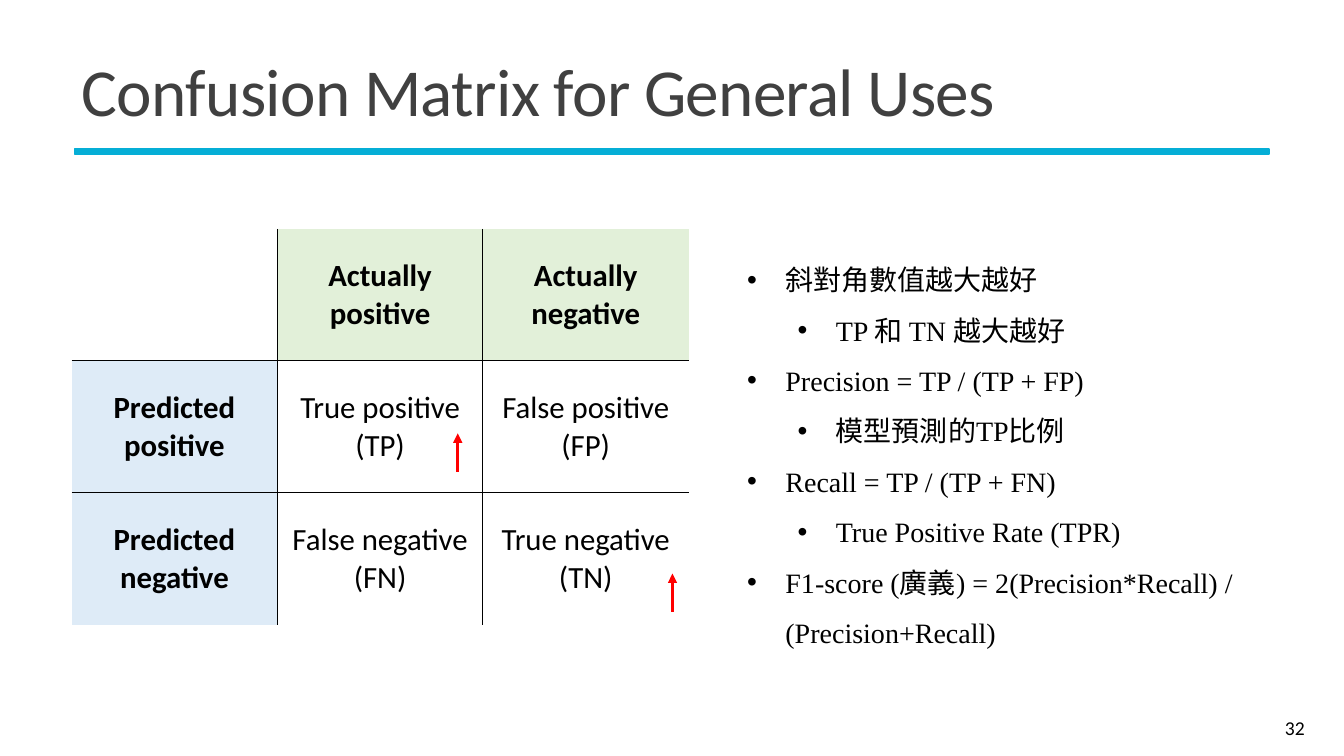
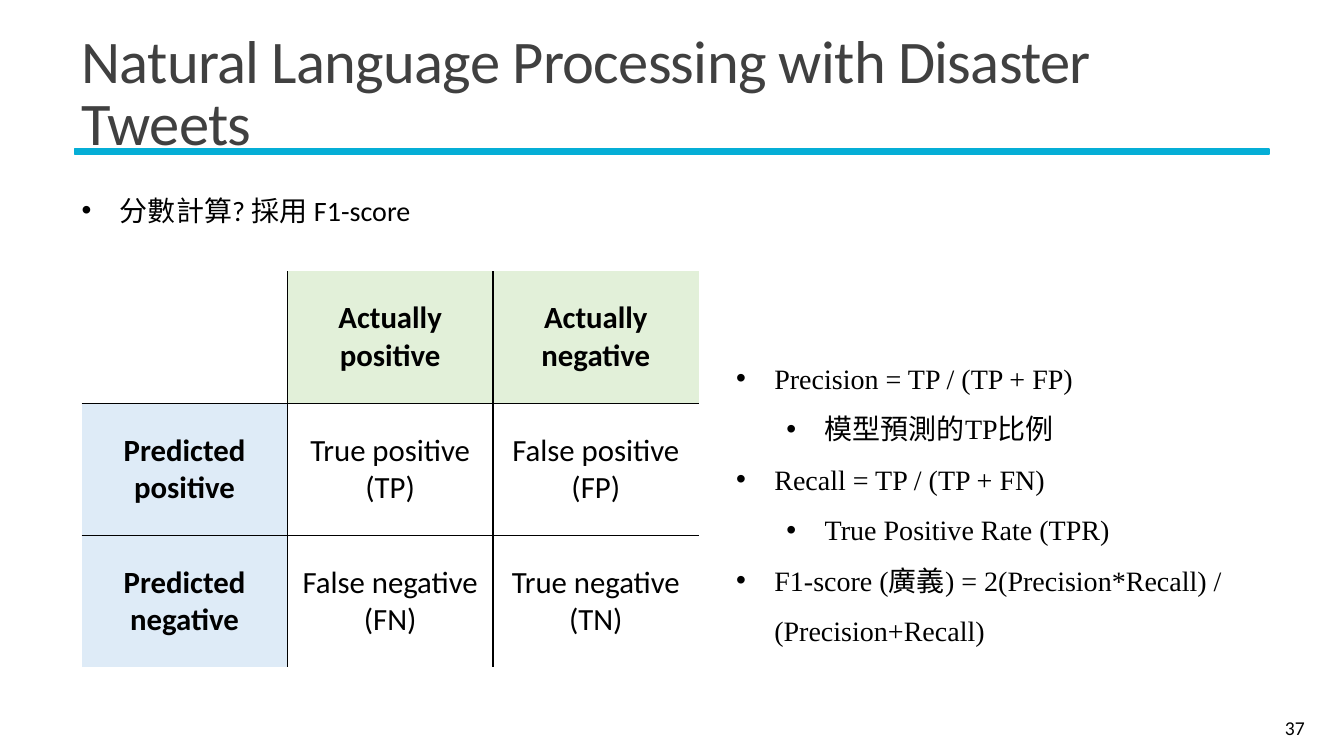
from dataclasses import dataclass

import lxml.etree
import pptx
import pptx.dml.color
import pptx.enum.shapes
import pptx.enum.text
import pptx.oxml.ns
import pptx.presentation
import pptx.shapes.base
import pptx.slide
import pptx.table
import pptx.text.text
import pptx.util

Inches = pptx.util.Inches
Pt = pptx.util.Pt
Align = pptx.enum.text.PP_ALIGN
Anchor = pptx.enum.text.MSO_ANCHOR
qn = pptx.oxml.ns.qn

ACCENT = "05AED6"
TITLE_GREY = "404040"
BLACK = "000000"
RED = "FF0000"
HEADER_GREEN = "E2F0D9"
HEADER_BLUE = "DEEBF7"
SANS = "Calibri"
SERIF = "Times New Roman"

CELL_SIDE = 2.04
ROW_HEIGHT = 1.31
ARROW_LENGTH = 0.38
INDENT = 0.38

MATRIX = (
    ("", "Actually positive", "Actually negative"),
    ("Predicted positive", "True positive (TP)", "False positive (FP)"),
    ("Predicted negative", "False negative (FN)", "True negative (TN)"),
)


@dataclass(frozen=True)
class Box:
    left: float
    top: float
    width: float
    height: float


@dataclass(frozen=True)
class Item:
    text: str
    level: int = 0


@dataclass(frozen=True)
class BulletList:
    box: Box
    items: tuple[Item, ...]
    font: str = SERIF


@dataclass(frozen=True)
class Point:
    x: float
    y: float


@dataclass(frozen=True)
class Page:
    title: str
    title_size: float
    number: int
    layout: int
    table_at: Point
    lists: tuple[BulletList, ...]
    arrows: tuple[Point, ...] = ()


METRICS = (
    Item("Precision = TP / (TP + FP)"),
    Item("模型預測的TP比例", 1),
    Item("Recall = TP / (TP + FN)"),
    Item("True Positive Rate (TPR)", 1),
    Item("F1-score (廣義) = 2(Precision*Recall) / (Precision+Recall)"),
)
DIAGONAL = (Item("斜對角數值越大越好"), Item("TP 和 TN 越大越好", 1))

PAGES = (
    Page(
        "Confusion Matrix for General Uses", 48, 32, 1, Point(0.71, 2.27),
        (BulletList(Box(7.31, 2.39, 5.31, 4.08), DIAGONAL + METRICS),),
        (Point(4.54, 4.68), Point(6.67, 6.07)),
    ),
    Page(
        "Natural Language Processing with Disaster Tweets", 43.2, 37, 3, Point(0.81, 2.69),
        (
            BulletList(Box(0.71, 1.7, 6.08, 0.55), (Item("分數計算? 採用 F1-score"),), SANS),
            BulletList(Box(7.2, 3.37, 5.63, 3.07), METRICS),
        ),
    ),
)


def color(value: str) -> pptx.dml.color.RGBColor:
    return pptx.dml.color.RGBColor.from_string(value)


def place(shape: pptx.shapes.base.BaseShape, box: Box) -> None:
    shape.left, shape.top = Inches(box.left), Inches(box.top)
    shape.width, shape.height = Inches(box.width), Inches(box.height)


def format_runs(paragraph: pptx.text.text._Paragraph, size: float, font: str = SANS,
                fill: str = BLACK, bold: bool = False) -> None:
    for run in paragraph.runs:
        run.font.size = Pt(size)
        run.font.name = font
        run.font.bold = bold
        run.font.color.rgb = color(fill)


def set_frame(shape: pptx.shapes.base.BaseShape, anchor: Anchor) -> None:
    frame = shape.text_frame
    frame.word_wrap = True
    frame.auto_size = pptx.enum.text.MSO_AUTO_SIZE.NONE
    frame.vertical_anchor = anchor


def add_title(slide: pptx.slide.Slide, text: str, size: float) -> None:
    title = slide.shapes.title
    place(title, Box(0.71, 0.39, 11.94, 1.13))
    set_frame(title, Anchor.MIDDLE)
    title.text_frame.text = text
    paragraph = title.text_frame.paragraphs[0]
    paragraph.alignment = Align.LEFT
    paragraph.line_spacing = 0.85
    format_runs(paragraph, size, fill=TITLE_GREY)
    for run in paragraph.runs:
        run.font._element.set("spc", "-50")


def add_band(slide: pptx.slide.Slide) -> None:
    band = slide.shapes.add_shape(
        pptx.enum.shapes.MSO_SHAPE.RECTANGLE,
        Inches(0.74), Inches(1.48), Inches(11.85), Inches(0.05))
    band.shadow.inherit = False
    band.fill.solid()
    band.fill.fore_color.rgb = color(ACCENT)
    band.line.color.rgb = color(ACCENT)
    band.line.width = Pt(1.25)
    slide.shapes.title.element.addprevious(band.element)


def add_number(slide: pptx.slide.Slide, number: int) -> None:
    shape = slide.shapes.add_textbox(Inches(11.61), Inches(7.02), Inches(1.43), Inches(0.4))
    set_frame(shape, Anchor.MIDDLE)
    shape.text_frame.text = str(number)
    paragraph = shape.text_frame.paragraphs[0]
    paragraph.alignment = Align.RIGHT
    format_runs(paragraph, 14)


def set_bullet(paragraph: pptx.text.text._Paragraph, level: int) -> None:
    paragraph.level = level
    properties = paragraph._p.get_or_add_pPr()
    properties.set("marL", str(Inches(INDENT + 0.5 * level)))
    properties.set("indent", str(-Inches(INDENT)))
    lxml.etree.SubElement(properties, qn("a:buFont")).set("typeface", "Arial")
    lxml.etree.SubElement(properties, qn("a:buChar")).set("char", "•")


def fill_list(shape: pptx.shapes.base.BaseShape, content: BulletList) -> None:
    place(shape, content.box)
    set_frame(shape, Anchor.TOP)
    frame = shape.text_frame
    frame.text = "\n".join(item.text for item in content.items)
    for paragraph, item in zip(frame.paragraphs, content.items):
        set_bullet(paragraph, item.level)
        paragraph.line_spacing = 1.5
        paragraph.space_before = Pt(0)
        format_runs(paragraph, 20, content.font)


def add_borders(cell: pptx.table._Cell, row: int, column: int) -> None:
    last = len(MATRIX) - 1
    inner = {"L": column > 0, "R": column < last, "T": row > 0, "B": row < last}
    properties = cell._tc.get_or_add_tcPr()
    for side, visible in inner.items():
        border = lxml.etree.SubElement(properties, qn(f"a:ln{side}"))
        border.set("w", str(Pt(1)))
        if visible:
            fill = lxml.etree.SubElement(border, qn("a:solidFill"))
            lxml.etree.SubElement(fill, qn("a:srgbClr")).set("val", BLACK)
        else:
            lxml.etree.SubElement(border, qn("a:noFill"))


def fill_cell(cell: pptx.table._Cell, text: str, row: int, column: int) -> None:
    add_borders(cell, row, column)
    is_header = row == 0 or column == 0
    if text and is_header:
        cell.fill.solid()
        cell.fill.fore_color.rgb = color(HEADER_GREEN if row == 0 else HEADER_BLUE)
    else:
        cell.fill.background()
    cell.vertical_anchor = Anchor.MIDDLE
    cell.text_frame.text = text
    paragraph = cell.text_frame.paragraphs[0]
    paragraph.alignment = Align.CENTER
    format_runs(paragraph, 22, bold=is_header)


def add_matrix(slide: pptx.slide.Slide, corner: Point) -> None:
    count = len(MATRIX)
    table = slide.shapes.add_table(
        count, count, Inches(corner.x), Inches(corner.y),
        Inches(CELL_SIDE * count), Inches(ROW_HEIGHT * count)).table
    table.first_row = False
    table.horz_banding = False
    for row, texts in enumerate(MATRIX):
        for column, text in enumerate(texts):
            fill_cell(table.cell(row, column), text, row, column)


def add_up_arrow(slide: pptx.slide.Slide, start: Point) -> None:
    arrow = slide.shapes.add_connector(
        pptx.enum.shapes.MSO_CONNECTOR.STRAIGHT, Inches(start.x), Inches(start.y),
        Inches(start.x), Inches(start.y - ARROW_LENGTH))
    arrow.line.color.rgb = color(RED)
    arrow.line.width = Pt(2.25)
    properties = arrow.element.spPr
    line = properties.find(qn("a:ln"))
    lxml.etree.SubElement(line, qn("a:tailEnd")).set("type", "triangle")
    lxml.etree.SubElement(properties, qn("a:effectLst"))


def add_page(presentation: pptx.presentation.Presentation, page: Page) -> None:
    slide = presentation.slides.add_slide(presentation.slide_layouts[page.layout])
    add_title(slide, page.title, page.title_size)
    add_band(slide)
    add_number(slide, page.number)
    for index, content in enumerate(page.lists, start=1):
        fill_list(slide.placeholders[index], content)
    add_matrix(slide, page.table_at)
    for start in page.arrows:
        add_up_arrow(slide, start)


def main() -> None:
    presentation = pptx.Presentation()
    presentation.slide_width = Inches(13.33)
    presentation.slide_height = Inches(7.5)
    for page in PAGES:
        add_page(presentation, page)
    presentation.save("out.pptx")


if __name__ == "__main__":
    main()
